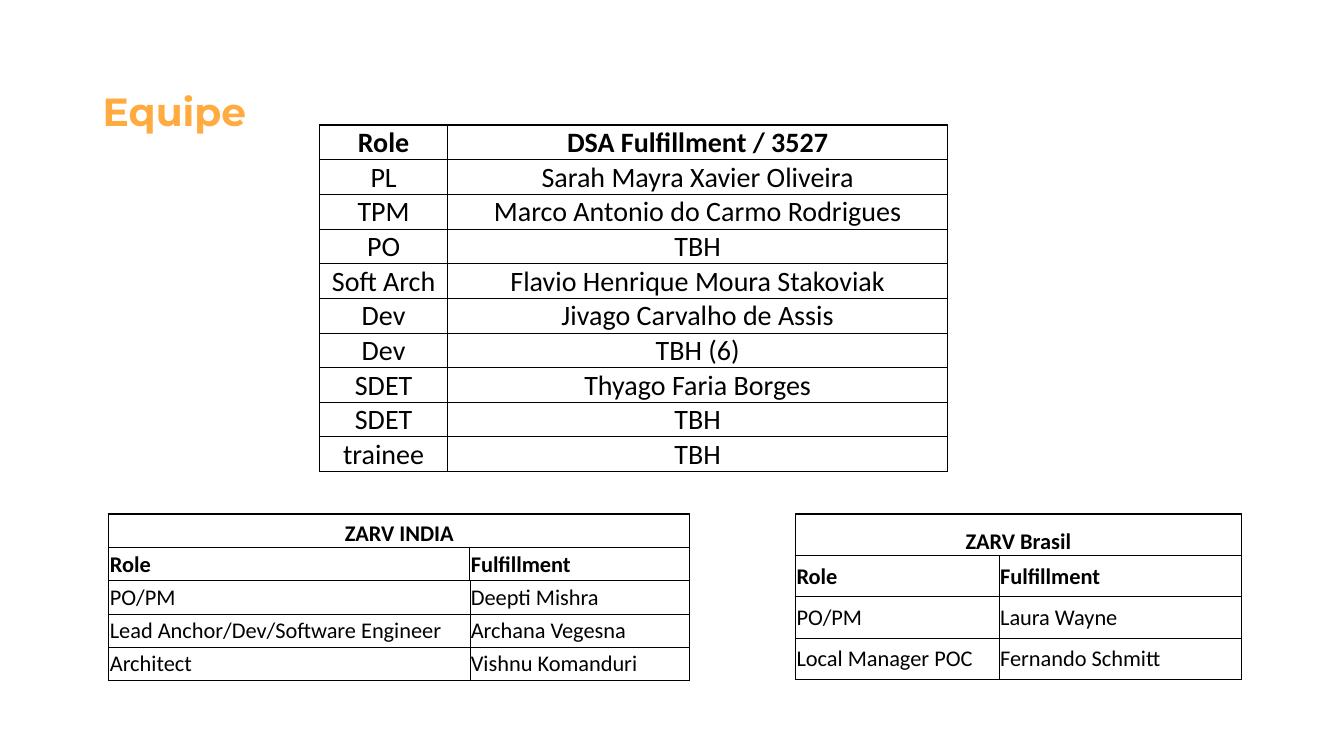
"""Build the team slide: a title, the main team table and two partner tables."""
from lxml import etree
from pptx import Presentation
from pptx.dml.color import RGBColor
from pptx.enum.text import MSO_ANCHOR, PP_ALIGN
from pptx.oxml.ns import qn
from pptx.util import Inches, Pt

LEFT, CENTER = PP_ALIGN.LEFT, PP_ALIGN.CENTER
MIDDLE, BOTTOM = MSO_ANCHOR.MIDDLE, MSO_ANCHOR.BOTTOM
COLORS = {"title": "FFAB40", "text": "000000", "border": "000000", "fill": "FFFFFF"}


def write_text(frame, text, size, font="Calibri", color="text", bold=False, align=LEFT, spacing=None):
    paragraph = frame.paragraphs[0]
    paragraph.alignment = align
    paragraph.line_spacing = spacing
    run = paragraph.add_run()
    run.text = text
    run.font.size = Pt(size)
    run.font.name = font
    run.font.bold = bold
    run.font.color.rgb = RGBColor.from_string(COLORS[color])


def add_border(cell, side, width):
    properties = cell._tc.get_or_add_tcPr()
    line = etree.SubElement(properties, qn(f"a:ln{side}"), w=str(Pt(width)))
    fill = etree.SubElement(line, qn("a:solidFill"))
    etree.SubElement(fill, qn("a:srgbClr"), val=COLORS["border"])


presentation = Presentation()
presentation.slide_width = Inches(13.33)
presentation.slide_height = Inches(7.5)
slide = presentation.slides.add_slide(presentation.slide_layouts[6])

title = slide.shapes.add_textbox(Inches(0.92), Inches(0.4), Inches(11.5), Inches(1.45))
title.text_frame.word_wrap = True
title.text_frame.vertical_anchor = MIDDLE
write_text(title.text_frame, "Equipe", 28, font="Montserrat", color="title", bold=True, spacing=0.9)

team = {
    "left": 3.17, "top": 1.24, "columns": [1.27, 4.96], "row_height": 0.34,
    "size": 20, "body_align": CENTER, "header_rows": 1, "heavy_lines": 1, "heavy_divider_rows": 0,
    "rows": [
        ("Role", "DSA Fulfillment / 3527"),
        ("PL", "Sarah Mayra Xavier Oliveira"),
        ("TPM", "Marco Antonio do Carmo Rodrigues"),
        ("PO", "TBH"),
        ("Soft Arch", "Flavio Henrique Moura Stakoviak"),
        ("Dev", "Jivago Carvalho de Assis"),
        ("Dev", "TBH (6)"),
        ("SDET", "Thyago Faria Borges"),
        ("SDET", "TBH"),
        ("trainee", "TBH"),
    ],
}
india = {
    "left": 1.08, "top": 5.1, "columns": [3.58, 2.18], "row_height": 0.33,
    "size": 16, "body_align": LEFT, "header_rows": 2, "heavy_lines": 1, "heavy_divider_rows": 2,
    "rows": [
        ("ZARV INDIA",),
        ("Role", "Fulfillment"),
        ("PO/PM", "Deepti Mishra"),
        ("Lead Anchor/Dev/Software Engineer", "Archana Vegesna"),
        ("Architect", "Vishnu Komanduri"),
    ],
}
brasil = {
    "left": 7.89, "top": 5.1, "columns": [2.02, 2.4], "row_height": 0.41,
    "size": 16, "body_align": LEFT, "header_rows": 2, "heavy_lines": 2, "heavy_divider_rows": 3,
    "rows": [
        ("ZARV Brasil",),
        ("Role", "Fulfillment"),
        ("PO/PM", "Laura Wayne"),
        ("Local Manager POC", "Fernando Schmitt"),
    ],
}

for group in (team, india, brasil):
    rows, columns = group["rows"], group["columns"]
    table = slide.shapes.add_table(
        len(rows), len(columns), Inches(group["left"]), Inches(group["top"]),
        Inches(sum(columns)), Inches(group["row_height"] * len(rows))).table
    table.first_row = False
    table.horz_banding = False
    for column, width in zip(table.columns, columns):
        column.width = Inches(width)

    for row_index, texts in enumerate(rows):
        table.rows[row_index].height = Inches(group["row_height"])
        if len(texts) == 1:
            table.cell(row_index, 0).merge(table.cell(row_index, 1))
        divider = 1 if row_index < group["heavy_divider_rows"] else 0.5
        top, bottom = (
            1 if line <= group["heavy_lines"] or line == len(rows) else 0.5
            for line in (row_index, row_index + 1))
        for column_index, text in enumerate(texts):
            cell = table.cell(row_index, column_index)
            cell.margin_left = cell.margin_right = cell.margin_top = Inches(0.01)
            cell.margin_bottom = 0
            is_caption = len(texts) == 1
            is_header = row_index < group["header_rows"]
            centered_body = group["body_align"] == CENTER and not is_header
            cell.vertical_anchor = BOTTOM if is_caption or centered_body else MIDDLE
            add_border(cell, "L", 1 if column_index == 0 else divider)
            add_border(cell, "R", 1 if column_index == len(texts) - 1 else divider)
            add_border(cell, "T", top)
            add_border(cell, "B", bottom)
            if group is team:
                cell.fill.solid()
                cell.fill.fore_color.rgb = RGBColor.from_string(COLORS["fill"])
            else:
                cell.fill.background()
            write_text(cell.text_frame, text, group["size"], bold=is_header,
                       align=CENTER if is_caption else group["body_align"])

presentation.save("out.pptx")
